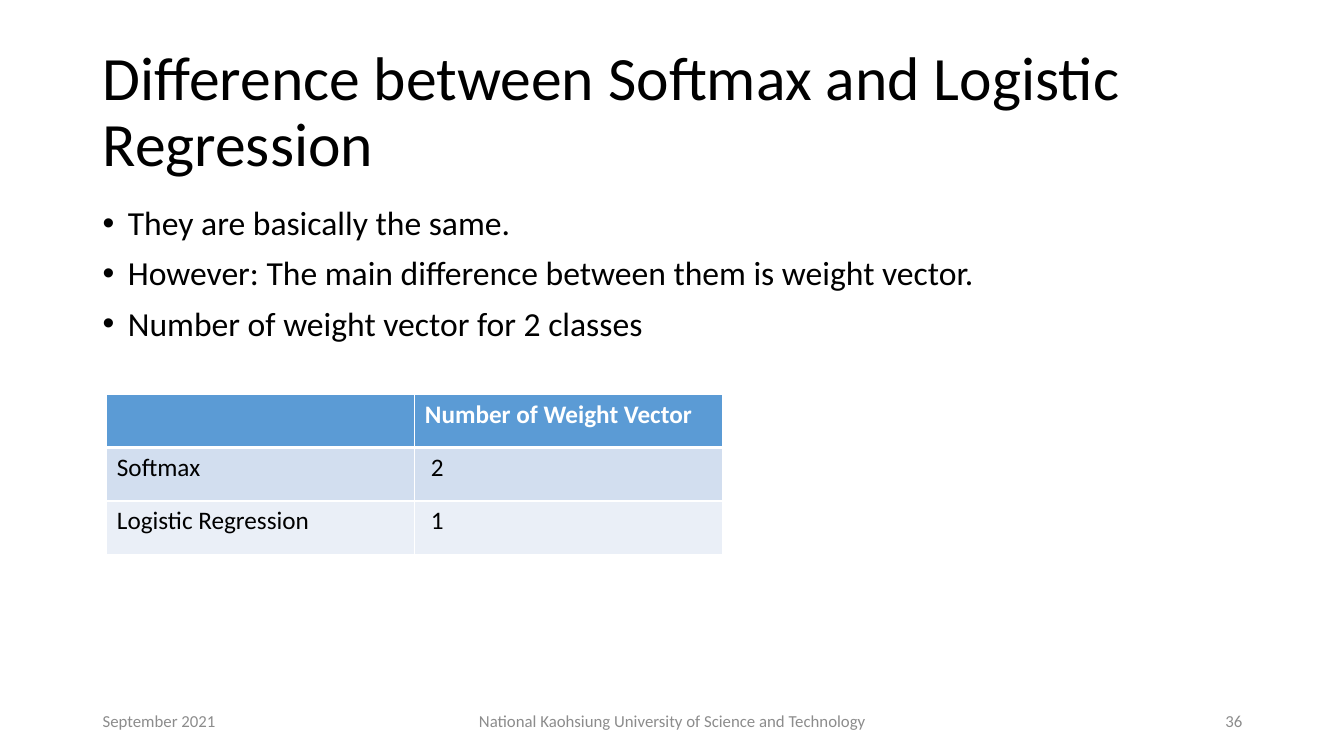
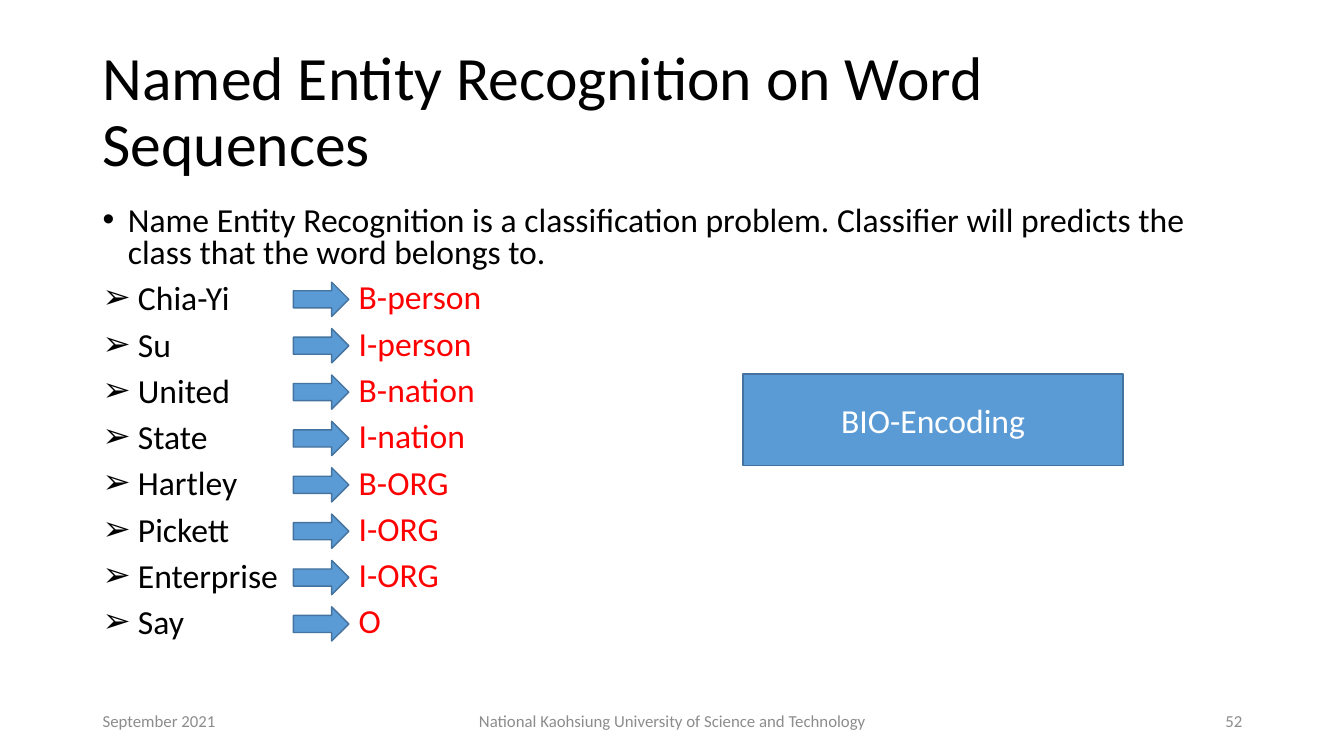
"""Build two lecture slides on softmax and named entity recognition."""
from dataclasses import dataclass
from typing import Optional

import lxml.etree
import pptx
import pptx.dml.color
import pptx.enum.shapes
import pptx.enum.text
import pptx.oxml.ns
import pptx.presentation
import pptx.shapes.autoshape
import pptx.slide
import pptx.table
import pptx.text.text
import pptx.util

Inches = pptx.util.Inches
Align = pptx.enum.text.PP_ALIGN
Anchor = pptx.enum.text.MSO_ANCHOR
Shape = pptx.enum.shapes.MSO_SHAPE

FONT = "Calibri"
BLACK, WHITE, RED, GRAY = "000000", "FFFFFF", "FF0000", "8C8C8C"
BLUE, EDGE = "5B9BD5", "43739E"
BANDS = ("D2DEEF", "EAEFF7")
LEFT, WIDTH = 0.92, 11.5
PITCH = 0.46


@dataclass(frozen=True)
class Box:
    left: float
    top: float
    width: float
    height: float

    def place(self) -> tuple:
        return tuple(Inches(n) for n in (self.left, self.top, self.width, self.height))


@dataclass(frozen=True)
class Point:
    text: str
    mark: str = "•"
    indent: float = 0.25
    color: str = BLACK


@dataclass(frozen=True)
class Foot:
    text: str
    box: Box
    align: Align


@dataclass(frozen=True)
class Tag:
    word: str
    label: str


TITLE = Box(LEFT, 0.4, WIDTH, 1.45)
BODY = Box(LEFT, 2, WIDTH, 4.76)
TAGS = (
    Tag("Chia-Yi", "B-person"),
    Tag("Su", "I-person"),
    Tag("United", "B-nation"),
    Tag("State", "I-nation"),
    Tag("Hartley", "B-ORG"),
    Tag("Pickett", "I-ORG"),
    Tag("Enterprise", "I-ORG"),
    Tag("Say", "O"),
)
ROWS = (
    ("", "Number of Weight Vector"),
    ("Softmax", "2"),
    ("Logistic Regression", "1"),
)


def hue(code: str) -> pptx.dml.color.RGBColor:
    return pptx.dml.color.RGBColor.from_string(code)


def add_sub(parent: lxml.etree._Element, tag: str, **attrs: str) -> lxml.etree._Element:
    return lxml.etree.SubElement(parent, pptx.oxml.ns.qn(tag), attrs)


def write(frame: pptx.text.text.TextFrame, text: str, *, size: float = 24,
          color: str = BLACK, bold: bool = False, align: Align = Align.LEFT,
          spacing: Optional[float] = None, mark: str = "", indent: float = 0,
          more: bool = False) -> None:
    para = frame.add_paragraph() if more else frame.paragraphs[0]
    if mark:
        props = para._p.get_or_add_pPr()
        props.set("marL", str(Inches(indent)))
        props.set("indent", str(-Inches(indent)))
        add_sub(props, "a:buFont", typeface="Arial")
        add_sub(props, "a:buChar", char=mark)
    para.alignment = align
    if spacing:
        para.line_spacing = spacing
    if more:
        para.space_before = pptx.util.Pt(10)
    para.font.size = pptx.util.Pt(size)
    run = para.add_run()
    run.text = text
    run.font.name = FONT
    run.font.size = pptx.util.Pt(size)
    run.font.bold = bold
    run.font.color.rgb = hue(color)


def add_box(slide: pptx.slide.Slide, box: Box,
            anchor: Anchor = Anchor.TOP) -> pptx.text.text.TextFrame:
    frame = slide.shapes.add_textbox(*box.place()).text_frame
    frame.word_wrap = True
    frame.vertical_anchor = anchor
    return frame


def add_list(slide: pptx.slide.Slide, box: Box, points: list[Point],
             spacing: float) -> None:
    frame = add_box(slide, box)
    for i, point in enumerate(points):
        write(frame, point.text, color=point.color, spacing=spacing,
              mark=point.mark, indent=point.indent, more=i > 0)


def add_shape(slide: pptx.slide.Slide, kind: Shape,
              box: Box) -> pptx.shapes.autoshape.Shape:
    shape = slide.shapes.add_shape(kind, *box.place())
    shape.shadow.inherit = False
    shape.fill.solid()
    shape.fill.fore_color.rgb = hue(BLUE)
    shape.line.color.rgb = hue(EDGE)
    shape.line.width = pptx.util.Pt(1)
    return shape


def add_slide(deck: pptx.presentation.Presentation, title: str,
              page: int) -> pptx.slide.Slide:
    slide = deck.slides.add_slide(deck.slide_layouts[6])
    write(add_box(slide, TITLE, Anchor.MIDDLE), title, size=44, spacing=0.9)
    feet = (
        Foot("September 2021", Box(LEFT, 6.95, 3, 0.4), Align.LEFT),
        Foot("National Kaohsiung University of Science and Technology",
             Box(4.42, 6.95, 4.5, 0.4), Align.CENTER),
        Foot(str(page), Box(9.42, 6.95, 3, 0.4), Align.RIGHT),
    )
    for foot in feet:
        write(add_box(slide, foot.box, Anchor.MIDDLE), foot.text,
              size=12, color=GRAY, align=foot.align)
    return slide


def style_cell(cell: pptx.table._Cell, row: int) -> None:
    props = cell._tc.get_or_add_tcPr()
    thick = {"T": 3 if row == 1 else 1, "B": 3 if row == 0 else 1}
    for side in "LRTB":
        width = pptx.util.Pt(thick.get(side, 1))
        line = add_sub(props, f"a:ln{side}", w=str(width))
        add_sub(add_sub(line, "a:solidFill"), "a:srgbClr", val=WHITE)
    cell.fill.solid()
    cell.fill.fore_color.rgb = hue(BANDS[row - 1] if row else BLUE)


def add_grid(slide: pptx.slide.Slide, box: Box) -> None:
    count = len(ROWS)
    table = slide.shapes.add_table(count, len(ROWS[0]), *box.place()).table
    table.first_row = table.horz_banding = False
    for r, texts in enumerate(ROWS):
        for c, text in enumerate(texts):
            cell = table.cell(r, c)
            style_cell(cell, r)
            if r and c:
                cell.margin_left = Inches(0.16)
            write(cell.text_frame, text, size=18, bold=r == 0,
                  color=BLACK if r else WHITE)


def add_math(deck: pptx.presentation.Presentation) -> None:
    slide = add_slide(deck, "Difference between Softmax and Logistic Regression", 36)
    add_list(slide, BODY, [
        Point("They are basically the same."),
        Point("However: The main difference between them is weight vector."),
        Point("Number of weight vector for 2 classes"),
    ], 0.9)
    add_grid(slide, Box(1.06, 3.91, 6.11, 1.59))


def add_names(deck: pptx.presentation.Presentation) -> None:
    slide = add_slide(deck, "Named Entity Recognition on Word Sequences", 52)
    intro = Point("Name Entity Recognition is a classification problem. "
                  "Classifier will predicts the class that the word belongs to.")
    words = [Point(tag.word, "➢", 0.35) for tag in TAGS]
    add_list(slide, BODY, [intro, *words], 0.8)
    labels = [Point(tag.label, "", 0, RED) for tag in TAGS]
    add_list(slide, Box(3.46, 2.77, 2.5, 3.8), labels, 0.8)
    badge = add_shape(slide, Shape.RECTANGLE, Box(7.37, 3.71, 3.77, 0.91))
    badge.text_frame.vertical_anchor = Anchor.MIDDLE
    write(badge.text_frame, "BIO-Encoding", color=WHITE, align=Align.CENTER)
    for i in range(len(TAGS)):
        add_shape(slide, Shape.RIGHT_ARROW, Box(2.91, 2.8 + i * PITCH, 0.55, 0.34))


def main() -> None:
    deck = pptx.Presentation()
    deck.slide_width, deck.slide_height = Inches(13.33), Inches(7.5)
    add_math(deck)
    add_names(deck)
    deck.save("out.pptx")


if __name__ == "__main__":
    main()
